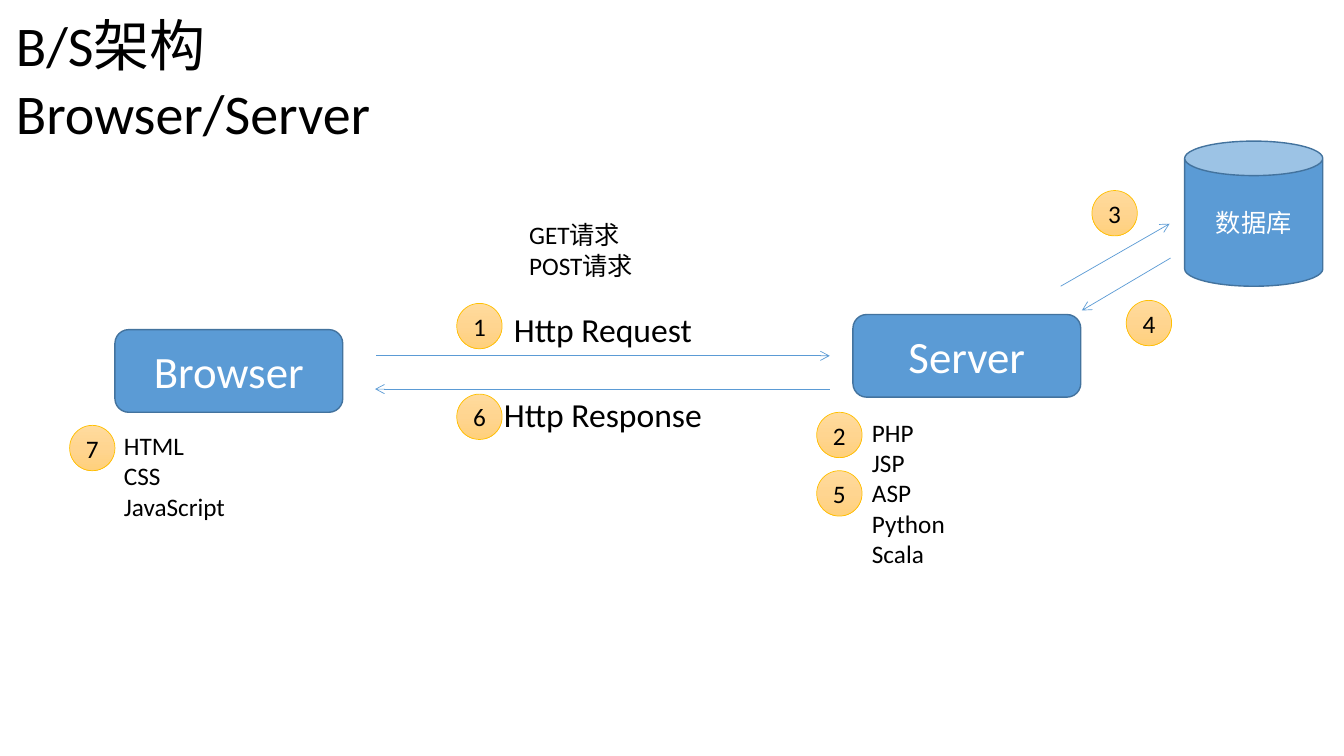
from copy import deepcopy

from pptx import Presentation
from pptx.dml.color import RGBColor
from pptx.enum.shapes import MSO_CONNECTOR, MSO_SHAPE
from pptx.enum.text import MSO_ANCHOR, MSO_AUTO_SIZE, PP_ALIGN
from pptx.oxml.ns import qn
from pptx.oxml.xmlchemy import OxmlElement
from pptx.util import Inches, Pt

STRAIGHT = MSO_CONNECTOR.STRAIGHT
ROUNDED, CAN, CIRCLE = MSO_SHAPE.ROUNDED_RECTANGLE, MSO_SHAPE.CAN, MSO_SHAPE.OVAL
LEFT, CENTER = PP_ALIGN.LEFT, PP_ALIGN.CENTER
MIDDLE = MSO_ANCHOR.MIDDLE
GROW = MSO_AUTO_SIZE.SHAPE_TO_FIT_TEXT


def rgb(value):
    return RGBColor.from_string(value)


class Diagram:
    font = "Calibri"
    ink, white = "000000", "FFFFFF"
    blue, blue_edge = "5B9BD5", "43739E"
    badge_edge = "FFC000"
    badge_stops = [(0, "FFDB9E"), (0.5, "FFD590"), (1, "FFD07C")]
    badge_size = 0.45

    def __init__(self, slide):
        self.slide = slide

    def set_text(self, frame, text, size, color, align):
        frame.word_wrap = True
        frame.text = text
        for paragraph in frame.paragraphs:
            paragraph.alignment = align
            for run in paragraph.runs:
                run.font.name = self.font
                run.font.size = Pt(size)
                run.font.color.rgb = rgb(color)

    def label(self, text, left, top, width, height, size=18, align=LEFT):
        box = self.slide.shapes.add_textbox(*map(Inches, (left, top, width, height)))
        self.set_text(box.text_frame, text, size, self.ink, align)
        box.text_frame.auto_size = GROW

    def outlined(self, kind, left, top, width, height, edge, weight):
        shape = self.slide.shapes.add_shape(kind, *map(Inches, (left, top, width, height)))
        shape.shadow.inherit = False
        shape.line.color.rgb = rgb(edge)
        shape.line.width = Pt(weight)
        shape.text_frame.vertical_anchor = MIDDLE
        return shape

    def node(self, kind, text, left, top, width, height, size):
        node = self.outlined(kind, left, top, width, height, self.blue_edge, 1)
        node.fill.solid()
        node.fill.fore_color.rgb = rgb(self.blue)
        self.set_text(node.text_frame, text, size, self.white, CENTER)

    def badge(self, number, left, top):
        badge = self.outlined(CIRCLE, left, top, self.badge_size, self.badge_size,
                              self.badge_edge, 0.5)
        badge.fill.gradient()
        badge.fill.gradient_angle = 270
        # A new gradient has two stops; add the middle one
        stop_list = badge.element.spPr.find(".//" + qn("a:gsLst"))
        stop_list.insert(1, deepcopy(stop_list[0]))
        for stop, (position, color) in zip(badge.fill.gradient_stops, self.badge_stops):
            stop.position = position
            stop.color.rgb = rgb(color)
        frame = badge.text_frame
        frame.margin_left = frame.margin_right = 0
        frame.margin_top = frame.margin_bottom = 0
        self.set_text(frame, str(number), 18, self.ink, CENTER)

    def arrow(self, x1, y1, x2, y2):
        arrow = self.slide.shapes.add_connector(STRAIGHT, *map(Inches, (x1, y1, x2, y2)))
        arrow.line.color.rgb = rgb(self.blue)
        arrow.line.width = Pt(0.5)
        tip = OxmlElement("a:tailEnd")
        tip.set("type", "arrow")
        properties = arrow.element.spPr
        properties.find(qn("a:ln")).append(tip)
        properties.append(OxmlElement("a:effectLst"))


def main():
    deck = Presentation()
    deck.slide_width, deck.slide_height = Inches(13.33), Inches(7.5)
    diagram = Diagram(deck.slides.add_slide(deck.slide_layouts[6]))

    # Title
    diagram.label("B/S架构\nBrowser/Server", 0.06, 0.06, 3.92, 1.45, size=40)

    # Browser, server and database
    diagram.node(ROUNDED, "Browser", 1.14, 3.27, 2.26, 0.82, 32)
    diagram.node(ROUNDED, "Server", 8.46, 3.12, 2.26, 0.82, 32)
    diagram.node(CAN, "数据库", 11.75, 1.4, 1.37, 1.44, 18)

    # Messages between them
    for ends in [(3.73, 3.53, 8.23, 3.53), (8.23, 3.86, 3.72, 3.86),
                 (10.52, 2.84, 11.6, 2.22), (11.61, 2.56, 10.73, 3.08)]:
        diagram.arrow(*ends)
    for message, top in [("Http Request", 3.02), ("Http Response", 3.86)]:
        diagram.label(message, 4.08, top, 3.8, 0.5, size=24, align=CENTER)

    # Request methods and the languages on each side
    diagram.label("GET请求\nPOST请求", 5.15, 2.13, 1.66, 0.71)
    diagram.label("HTML\nCSS\nJavaScript", 1.13, 4.22, 3.18, 1.01)
    diagram.label("PHP\nJSP\nASP\nPython\nScala", 8.55, 4.09, 3.2, 1.61)

    # Step numbers
    steps = [(4.53, 3.01), (8.1, 4.09), (10.83, 1.89), (11.17, 2.98),
             (8.1, 4.67), (4.53, 3.91), (0.69, 4.22)]
    for number, (left, top) in enumerate(steps, start=1):
        diagram.badge(number, left, top)

    deck.save("out.pptx")


if __name__ == "__main__":
    main()
